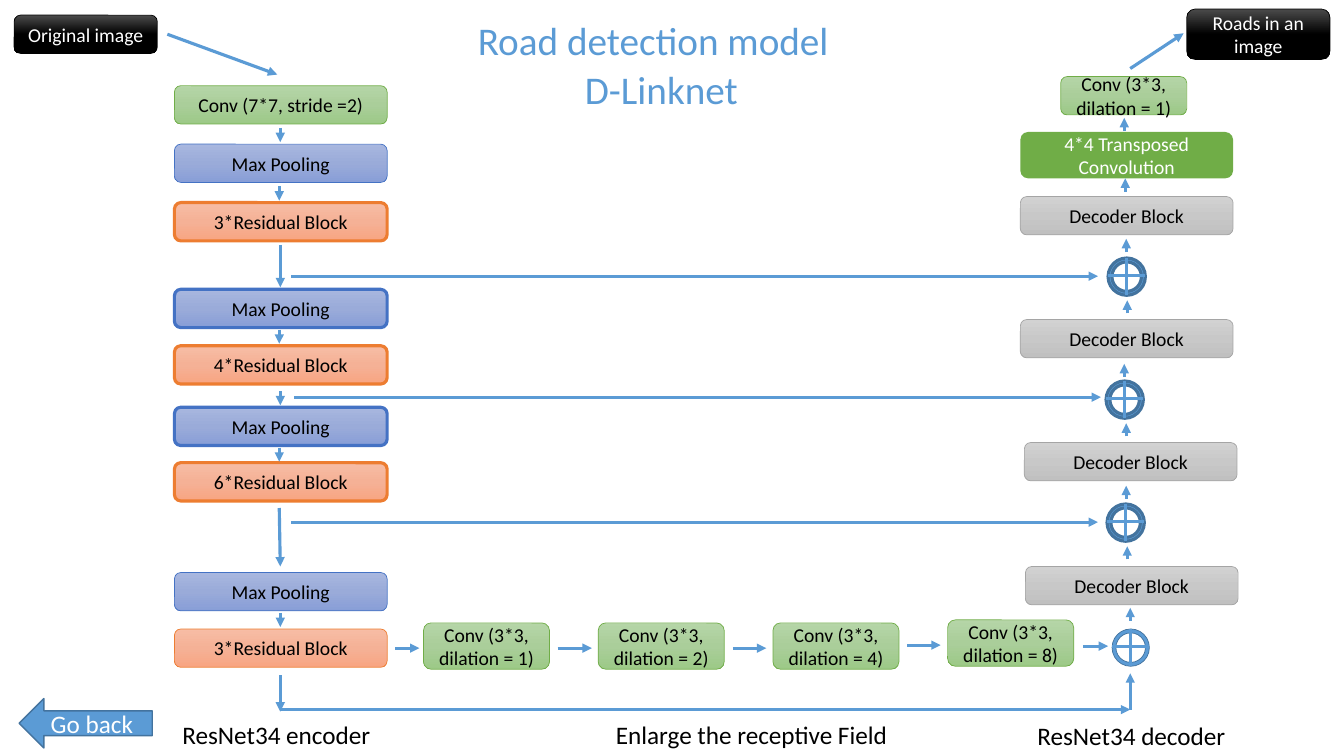
from copy import deepcopy
from dataclasses import dataclass

from lxml.etree import SubElement
from pptx import Presentation
from pptx.dml.color import RGBColor
from pptx.enum.shapes import MSO_CONNECTOR, MSO_SHAPE
from pptx.enum.text import MSO_ANCHOR, MSO_AUTO_SIZE, PP_ALIGN
from pptx.oxml.ns import qn
from pptx.util import Inches, Pt

CELL = 0.1
FONT = "Calibri"
BLUE = "5B9BD5"
BLUE_EDGE = "43739E"
BLACK = "000000"
WHITE = "FFFFFF"
THIN, THICK = 0.5, 2.25
WIDE, NARROW = 21.1, 12.5
ENCODER_LEFT = 17.3
SUM_SIZE = 3.7


@dataclass(frozen=True)
class Style:
    fills: tuple[str, ...]
    edge: str | None = None
    ink: str = BLACK
    size: float = 14
    form: MSO_SHAPE = MSO_SHAPE.ROUNDED_RECTANGLE


@dataclass(frozen=True)
class Block:
    words: str
    style: Style
    column: float
    row: float
    columns: float = WIDE
    rows: float = 3.8
    edge_width: float = THIN


@dataclass(frozen=True)
class Arrow:
    column: float
    row: float
    right: float = 0
    down: float = 0


@dataclass(frozen=True)
class Sum:
    column: float
    row: float
    edge_width: float = THICK


@dataclass(frozen=True)
class Label:
    words: str
    column: float
    row: float
    columns: float
    rows: float = 4
    size: float = 18
    ink: str = BLACK
    align: PP_ALIGN = PP_ALIGN.LEFT
    wrap: bool = False


IMAGE = Style(("4B4B4B", BLACK, BLACK), BLACK, WHITE)
CONV = Style(("B5D5A7", "AACE9A", "9CC987"), "70AD47")
POOL = Style(("A8B7DF", "9AABD9", "889ED7"), "4472C4")
RESIDUAL = Style(("F7BDA5", "F5B196", "F8A582"), "ED7D31")
DECODER = Style(("D2D2D2", "C8C8C8", "C0C0C0"), "A5A5A5")
TRANSPOSED = Style(("70AD47",), None, WHITE)
BACK = Style((BLUE,), BLUE_EDGE, WHITE, 18, MSO_SHAPE.LEFT_ARROW)
RING = Style((BLUE,), BLUE_EDGE, form=MSO_SHAPE.DONUT)

ENCODER = [
    ("Conv (7*7, stride =2)", CONV, 8.5, THIN),
    ("Max Pooling", POOL, 14.3, THIN),
    ("3*Residual Block", RESIDUAL, 20.1, THICK),
    ("Max Pooling", POOL, 28.7, THICK),
    ("4*Residual Block", RESIDUAL, 34.3, THICK),
    ("Max Pooling", POOL, 40.4, THICK),
    ("6*Residual Block", RESIDUAL, 45.9, THICK),
    ("Max Pooling", POOL, 56.8, THIN),
    ("3*Residual Block", RESIDUAL, 62.4, THIN),
]
DILATIONS = [(1, 61.8), (2, 61.8), (4, 61.8), (8, 61.5)]
DECODERS = [(101.2, 19.5), (101.2, 31.7), (101.6, 43.9), (101.7, 56.2)]

BLOCKS = [
    Block("Original image", IMAGE, 1.4, 1.5, 14.2),
    Block("Roads in an image", IMAGE, 117.7, 0.9, 14.2, 5),
    Block("Conv (3*3, dilation = 1)", CONV, 105.2, 7.6, NARROW),
    Block("4*4 Transposed Convolution", TRANSPOSED, 101.2, 13.1, rows=4.6),
    Block("Go back", BACK, 1.9, 69.3, 13.2, 4.9, 1),
    *(Block(words, style, ENCODER_LEFT, row, edge_width=edge)
      for words, style, row, edge in ENCODER),
    *(Block(f"Conv (3*3, dilation = {dilation})", CONV, 42 + 17.33 * place, row, NARROW, 4.6)
      for place, (dilation, row) in enumerate(DILATIONS)),
    *(Block("Decoder Block", DECODER, column, row) for column, row in DECODERS),
]

DOWN_STEPS = [(27.8, 12.7), (27.7, 18.5), (27.7, 32.7),
              (27.8, 38.8), (27.7, 44.4), (27.8, 60.8)]
UP_STEPS = [(111.5, 13), (111.6, 19), (111.7, 25), (111.8, 31.1), (111.5, 37.4),
            (111.7, 43.3), (111.7, 49.5), (111.8, 55.5), (112.1, 61.6)]
SKIPS = [(28.9, 27.4), (29.2, 39.4), (28.9, 51.8)]

ARROWS = [
    Arrow(16.6, 3.4, 10.9, 4),
    Arrow(112.1, 6.8, 5.3, -3.5),
    Arrow(27.8, 24.3, down=4.2),
    Arrow(27.7, 50.4, 0.1, 5.8),
    Arrow(27.8, 67, down=3.6),
    Arrow(27.8, 70.4, 84.3),
    Arrow(112.1, 70.4, down=-3.6),
    Arrow(39.2, 64.3, 2.4),
    Arrow(55.3, 64.3, 3.4),
    Arrow(72.7, 64.3, 3.3),
    Arrow(90, 64, 3.3),
    Arrow(107.4, 64.1, 2.5),
    *(Arrow(column, row, down=1.4) for column, row in DOWN_STEPS),
    *(Arrow(column, row, down=-1.3) for column, row in UP_STEPS),
    *(Arrow(column, row, 80) for column, row in SKIPS),
]
SUMS = [Sum(109.9, 25.6), Sum(109.7, 37.8), Sum(109.8, 50), Sum(110.3, 62.4, THIN)]
LABELS = [
    Label("ResNet34 encoder", 17.1, 70.9, 20.9),
    Label("Enlarge the receptive Field", 60.1, 70.9, 29.3),
    Label("ResNet34 decoder", 101.9, 71, 20.9),
    Label("Road detection model", 46.4, 1.1, 38.1, 5.7, 28, BLUE, wrap=True),
    Label("D-Linknet", 46.6, 6, 38, 5.7, 28, BLUE, PP_ALIGN.CENTER, True),
]


def grid(*cells: float) -> list[int]:
    """Turn grid counts into lengths."""
    return [Inches(count * CELL) for count in cells]


def colour(value: str) -> RGBColor:
    """Read a hex colour."""
    return RGBColor.from_string(value)


def write(frame, words: str, size: float, ink: str, align: PP_ALIGN) -> None:
    """Put one formatted run into a text frame."""
    para = frame.paragraphs[0]
    para.alignment = align
    span = para.add_run()
    span.text = words
    span.font.name, span.font.size = FONT, Pt(size)
    span.font.color.rgb = colour(ink)


def paint(shape, fills: tuple[str, ...]) -> None:
    """Fill a shape with a solid colour or a downward gradient."""
    if len(fills) == 1:
        shape.fill.solid()
        shape.fill.fore_color.rgb = colour(fills[0])
        return
    shape.fill.gradient()
    shape.fill.gradient_angle = 270
    stops = shape._element.spPr.find(qn("a:gradFill")).find(qn("a:gsLst"))
    stops.insert(1, deepcopy(stops[0]))
    for place, (stop, value) in enumerate(zip(shape.fill.gradient_stops, fills)):
        stop.position = place / (len(fills) - 1)
        stop.color.rgb = colour(value)


def draw_block(page, block: Block):
    """Draw a filled shape with its words."""
    style = block.style
    shape = page.shapes.add_shape(
        style.form, *grid(block.column, block.row, block.columns, block.rows))
    shape.shadow.inherit = False
    paint(shape, style.fills)
    if style.edge:
        shape.line.color.rgb = colour(style.edge)
        shape.line.width = Pt(block.edge_width)
    else:
        shape.line.fill.background()
    if block.words:
        shape.text_frame.word_wrap = True
        shape.text_frame.vertical_anchor = MSO_ANCHOR.MIDDLE
        write(shape.text_frame, block.words, style.size, style.ink, PP_ALIGN.CENTER)
    return shape


def draw_arrow(page, arrow: Arrow, head: bool = True) -> None:
    """Draw a straight blue line, with an arrowhead if asked."""
    line = page.shapes.add_connector(MSO_CONNECTOR.STRAIGHT, *grid(
        arrow.column, arrow.row, arrow.column + arrow.right, arrow.row + arrow.down))
    line.line.color.rgb = colour(BLUE)
    line.line.width = Pt(THICK)
    properties = line._element.spPr
    if head:
        SubElement(properties.find(qn("a:ln")), qn("a:tailEnd"), type="triangle")
    SubElement(properties, qn("a:effectLst"))


def draw_sum(page, node: Sum) -> None:
    """Draw a ring with a cross inside."""
    ring = draw_block(page, Block(
        "", RING, node.column, node.row, SUM_SIZE, SUM_SIZE, node.edge_width))
    ring.adjustments[0] = 0.104
    draw_arrow(page, Arrow(node.column + 1.8, node.row, down=SUM_SIZE), False)
    draw_arrow(page, Arrow(node.column, node.row + 1.7, SUM_SIZE), False)


def draw_label(page, label: Label) -> None:
    """Draw free text."""
    box = page.shapes.add_textbox(*grid(label.column, label.row, label.columns, label.rows))
    box.text_frame.word_wrap = label.wrap
    box.text_frame.auto_size = MSO_AUTO_SIZE.SHAPE_TO_FIT_TEXT
    write(box.text_frame, label.words, label.size, label.ink, label.align)


def main() -> None:
    """Build and save the deck."""
    deck = Presentation()
    deck.slide_width, deck.slide_height = Inches(13.33), Inches(7.5)
    page = deck.slides.add_slide(deck.slide_layouts[6])
    for draw, items in ((draw_block, BLOCKS), (draw_sum, SUMS),
                        (draw_arrow, ARROWS), (draw_label, LABELS)):
        for item in items:
            draw(page, item)
    deck.save("out.pptx")


if __name__ == "__main__":
    main()
